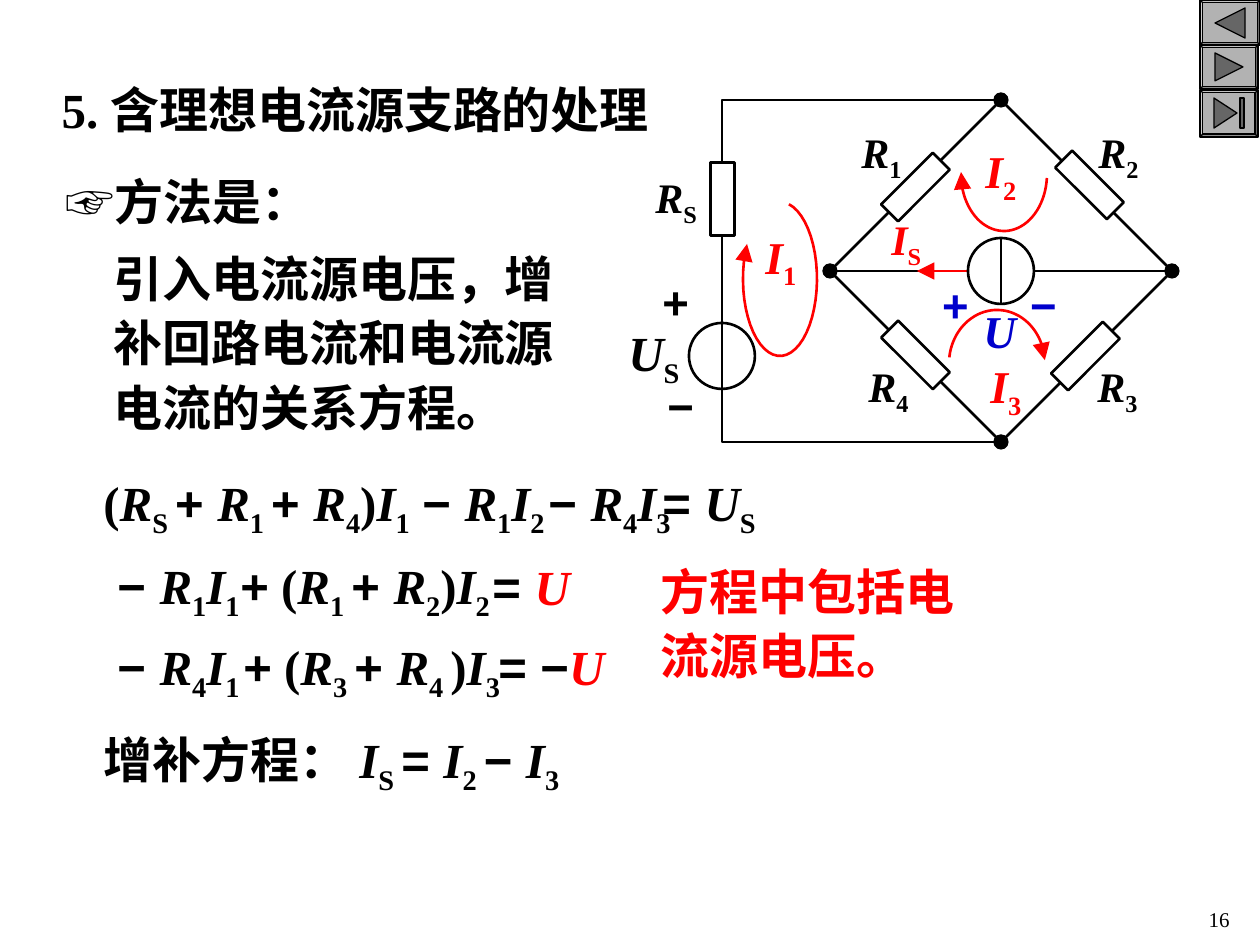
from math import cos, radians, sin

from lxml.etree import SubElement
from pptx import Presentation
from pptx.dml.color import RGBColor
from pptx.enum.shapes import MSO_CONNECTOR, MSO_SHAPE
from pptx.enum.text import MSO_ANCHOR, MSO_AUTO_SIZE, PP_ALIGN
from pptx.oxml.ns import qn
from pptx.util import Emu, Pt

BLACK, RED, BLUE, WHITE = "000000", "FF0000", "0000CC", "FFFFFF"
GREY, DARK = "B2B2B2", "666666"
SERIF, SANS = "Times New Roman", "Arial"


def px(n):
    """Turn px into EMU."""
    return Emu(round(n * 914400 / 126))


def rgb(color):
    """Turn a hex string into a colour."""
    return RGBColor.from_string(color)


def write(para, marks, size, color=BLACK, bold=True):
    """Fill a paragraph from runs marked n, i, r, s or a by their first letter."""
    for mark in marks.split("|"):
        kind, run = mark[0], para.add_run()
        run.text = mark[1:]
        font = run.font
        font.size, font.bold, font.italic = Pt(size), bold, kind in "ir"
        font.name = SANS if kind == "a" else SERIF
        font.color.rgb = rgb(RED if kind == "r" else color)
        if kind == "s":
            run._r.get_or_add_rPr().set("baseline", "-25000")


def note(slide, box, marks, size=28, color=BLACK, wrap=False, align=PP_ALIGN.LEFT):
    """Add a text box and return its paragraph."""
    frame = slide.shapes.add_textbox(*map(px, box)).text_frame
    frame.word_wrap = wrap
    frame.auto_size = MSO_AUTO_SIZE.SHAPE_TO_FIT_TEXT
    para = frame.paragraphs[0]
    para.alignment = align
    write(para, marks, size, color)
    return para


def style(shape, fill=None, color=BLACK, width=1.5):
    """Set the fill and line of a shape and drop its shadow."""
    shape.shadow.inherit = False
    if fill:
        shape.fill.solid()
        shape.fill.fore_color.rgb = rgb(fill)
    else:
        shape.fill.background()
    shape.line.color.rgb = rgb(color)
    shape.line.width = Pt(width)


def form(slide, kind, box, fill=None, width=1.5, turn=0):
    """Add a preset shape."""
    shape = slide.shapes.add_shape(kind, *map(px, box))
    style(shape, fill, width=width)
    shape.rotation = turn
    return shape


def disc(slide, x, y, r, fill=None, width=1.5):
    """Add a circle around a centre."""
    form(slide, MSO_SHAPE.OVAL, (x - r, y - r, 2 * r, 2 * r), fill, width)


def tip(shape):
    """Put a large arrowhead at the end of a line."""
    SubElement(shape.line._get_or_add_ln(), qn("a:tailEnd"),
               type="triangle", w="lg", len="lg")


def trace(slide, dots, fill=None, color=BLACK, width=1.5, close=False):
    """Add an outline through the points."""
    dots = [(px(x), px(y)) for x, y in dots]
    pen = slide.shapes.build_freeform(*dots[0])
    pen.add_line_segments(dots[1:], close=close)
    shape = pen.convert_to_shape()
    style(shape, fill, color, width)
    return shape


def line(slide, start, end, color=BLACK):
    """Add a straight line."""
    wire = slide.shapes.add_connector(MSO_CONNECTOR.STRAIGHT, *map(px, start + end))
    wire.line.color.rgb = rgb(color)
    wire.line.width = Pt(1.5)
    SubElement(wire._element.spPr, qn("a:effectLst"))
    return wire


def loop(slide, x, y, wide, high, first, last):
    """Add a red mesh arrow along an ellipse."""
    turns = [radians(first + (last - first) * i / 40) for i in range(41)]
    dots = [(x + wide * cos(t), y + high * sin(t)) for t in turns]
    tip(trace(slide, dots, color=RED))


def button(slide, box, shapes):
    """Add a bevelled button with its sign."""
    x, y = box[:2]
    form(slide, MSO_SHAPE.BEVEL, box, GREY, 0.75).adjustments[0] = 0.06
    for dots in shapes:
        trace(slide, [(x + a, y + b) for a, b in dots], DARK, width=0.75, close=True)


def head(slide, box):
    """Place the title."""
    title = slide.shapes.title
    title.left, title.top, title.width, title.height = map(px, box)
    frame = title.text_frame
    frame.auto_size, frame.vertical_anchor = MSO_AUTO_SIZE.NONE, MSO_ANCHOR.MIDDLE
    frame.paragraphs[0].alignment = PP_ALIGN.LEFT
    write(frame.paragraphs[0], "n5. 含理想电流源支路的处理", 28)


def body(slide, box):
    """Place the method text."""
    hold = slide.placeholders[1]
    hold.left, hold.top, hold.width, hold.height = map(px, box)
    frame = hold.text_frame
    frame.auto_size = MSO_AUTO_SIZE.NONE
    rows = (("a☞|n方法是：", -48), ("n引入电流源电压，增补回路电流和电流源电流的关系方程。", 0))
    for i, (marks, dent) in enumerate(rows):
        para = frame.add_paragraph() if i else frame.paragraphs[0]
        para.line_spacing, para.space_before = 1.1, Pt(7)
        props = para._p.get_or_add_pPr()
        props.set("marL", str(px(48)))
        props.set("indent", str(px(dent)))
        SubElement(props, qn("a:buNone"))
        write(para, marks, 28)


def bridge(slide, x, y):
    """Draw the bridge circuit from its top left corner."""
    half, mid = 171, 279
    cx, cy = x + mid, y + half
    low = y + 2 * half
    trace(slide, [(cx, y), (x, y), (x, low), (cx, low)])
    form(slide, MSO_SHAPE.DIAMOND, (cx - half, y, 2 * half, 2 * half))
    line(slide, (cx - half, cy), (cx + half, cy))
    for dx, dy in ((0, -1), (1, 0), (0, 1), (-1, 0)):
        disc(slide, cx + dx * half, cy + dy * half, 7, BLACK, 0.75)
    for a, b, turn in ((0, 99, 90), (193, 87, 315), (367, 85, 45),
                       (193, 255, 45), (363, 256, 315)):
        form(slide, MSO_SHAPE.RECTANGLE, (x + a - 36, y + b - 12, 73, 24), WHITE, turn=turn)
    disc(slide, x, y + 256, 33)
    tip(line(slide, (cx - 34, cy), (cx - 84, cy), RED))
    disc(slide, cx, cy, 33, WHITE)
    line(slide, (cx, cy - 33), (cx, cy + 33))
    loop(slide, x + 58, y + 179, 37, 77, -76, 207)
    loop(slide, x + 282, y + 74, 43, 57, 4, 182)
    loop(slide, x + 275, y + 264, 48, 54, 187, 356)
    for a, b, w, h, marks, size, color in (
            (127, 20, 72, 71, "iR|s1", 24, BLACK), (364, 20, 72, 71, "iR|s2", 24, BLACK),
            (363, 254, 72, 71, "iR|s3", 24, BLACK), (134, 254, 72, 71, "iR|s4", 24, BLACK),
            (-79, 65, 72, 71, "iR|sS", 24, BLACK), (-106, 216, 82, 79, "iU|sS", 28, BLACK),
            (-72, 168, 52, 68, "a+", 26, BLACK), (-67, 272, 52, 68, "a−", 26, BLACK),
            (157, 107, 72, 71, "iI|sS", 24, RED), (31, 123, 72, 76, "iI|s1", 26, RED),
            (251, 37, 72, 76, "iI|s2", 26, RED), (256, 252, 72, 76, "iI|s3", 26, RED),
            (249, 197, 59, 68, "iU", 26, BLUE), (204, 171, 59, 68, "a+", 26, BLUE),
            (292, 171, 59, 68, "a−", 26, BLUE)):
        align = PP_ALIGN.CENTER if color == BLUE and marks[0] == "a" else PP_ALIGN.LEFT
        note(slide, (x + a, y + b, w, h), marks, size, color, color == BLUE, align)


def sums(slide, x, y):
    """Place the mesh equations and the remark beside them."""
    for a, b, w, h, marks in (
            (0, 0, 360, 79, "n(|iR|sS |a+ |iR|s1 |a+ |iR|s4|n)|iI|s1"),
            (319, 0, 152, 79, "a− |iR|s1|iI|s2"),
            (445, 0, 152, 79, "a− |iR|s4|iI|s3"),
            (559, 0, 140, 79, "a= |iU|sS"),
            (14, 83, 152, 79, "a− |iR|s1|iI|s1"),
            (137, 83, 292, 79, "a+|n (|iR|s1 |a+ |iR|s2|n)|iI|s2"),
            (389, 84, 123, 72, "a= |rU"),
            (14, 164, 152, 79, "a− |iR|s4|iI|s1"),
            (140, 164, 300, 79, "a+|n (|iR|s3 |a+ |iR|s4 |n)|iI|s3"),
            (395, 164, 140, 72, "a= −|rU"),
            (256, 257, 244, 79, "iI|sS |a= |iI|s2 |a− |iI|s3")):
        note(slide, (x + a, y + b, w, h), marks)
    note(slide, (x, y + 257, 277, 72), "n增补方程：", wrap=True)
    note(slide, (x + 557, y + 83, 362, 142), "n方程中包括电流源电压。",
         color=RED, wrap=True).line_spacing = 1.1


def main():
    """Build the slide."""
    deck = Presentation()
    deck.slide_width, deck.slide_height = px(1260), px(945)
    slide = deck.slides.add_slide(deck.slide_layouts[1])
    button(slide, (1200, 0, 60, 45), [[(15, 23), (45, 8), (45, 38)]])
    button(slide, (1200, 45, 58, 44), [[(15, 8), (43, 22), (15, 36)]])
    button(slide, (1200, 90, 58, 47), [[(37, 23), (14, 38), (14, 8)],
                                       [(40, 8), (40, 38), (44, 38), (44, 8)]])
    head(slide, (49, 73, 736, 72))
    body(slide, (53, 159, 548, 283))
    bridge(slide, 722, 100)
    sums(slide, 91, 466)
    page = note(slide, (940, 900, 302, 36), "n16", 12, wrap=True, align=PP_ALIGN.RIGHT)
    page.runs[0].font.bold = False
    deck.save("out.pptx")


if __name__ == "__main__":
    main()
